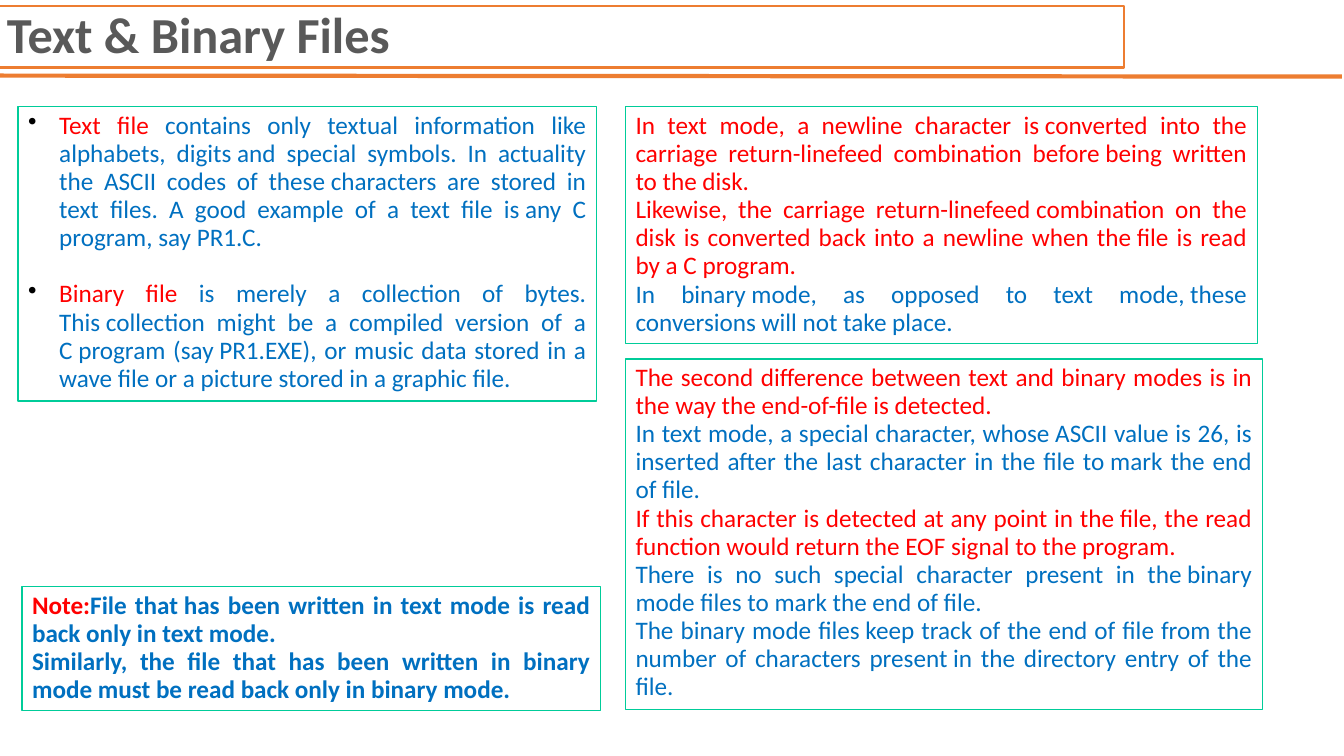
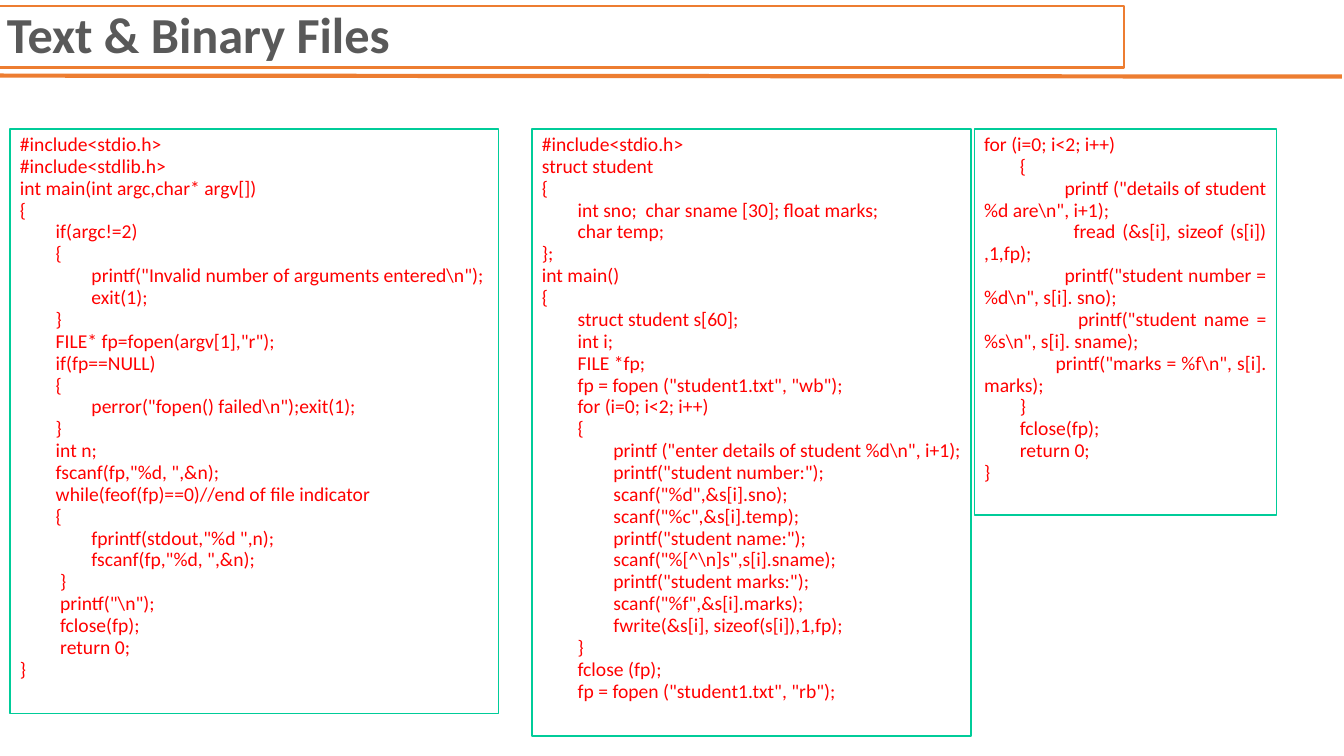
from lxml.etree import SubElement
from pptx import Presentation
from pptx.dml.color import RGBColor
from pptx.enum.shapes import MSO_CONNECTOR as CONN, MSO_SHAPE as SHAPE
from pptx.enum.text import MSO_ANCHOR as ANCHOR, PP_ALIGN as ALIGN
from pptx.oxml.ns import qn
from pptx.util import Inches, Pt

W, H = Inches(13.34), Inches(7.5)
COLORS = {"accent": "ED7D31", "title": "595959", "frame": "00CC99", "paper": "FFFFFF",
          "red": "FF0000", "blue": "0070C0", "bullet": "000000"}
FONT = "Calibri"
LINE_SPACING = 0.93
BULLET_INDENT = Inches(0.31)
CODE_STEP = Inches(0.355) / 8  # indent for one leading space in a listing
TITLE = "Text & Binary Files"
PROSE_TOP, CODE_TOP = 14.13, 17.07

# In the prose, "~" stands for a space that does not break.
FILE_KINDS = [
    [("Text file", "red"),
     (" contains only textual information like alphabets, digits~and special symbols. "
      "In actuality the ASCII codes of these~characters are stored in text files. "
      "A good example of a text file is~any C program, say PR1.C.", "blue")],
    [("Binary file", "red"),
     (" is merely a collection of bytes. This~collection might be a compiled version of "
      "a C~program (say~PR1.EXE), or music data stored in a wave~file~or a picture "
      "stored~in a graphic file.", "blue")],
]
NEWLINES = [
    [("In text mode, a newline character is~converted into the carriage return-linefeed "
      "combination before~being written to the disk.", "red")],
    [("Likewise, the carriage return-linefeed~combination on the disk is converted back "
      "into a newline when the~file is read by a C program.", "red")],
    [("In binary~mode, as opposed to text mode,~these conversions will not take~place.",
      "blue")],
]
END_OF_FILE = [
    [("The second difference between text and binary modes is in the way the end-of-file "
      "is detected.", "red")],
    [("In text mode, a special character, whose~ASCII value is 26, is inserted after the "
      "last character in the file to~mark the end of file.", "blue")],
    [("If this character is detected at any point in the~file, the read function would "
      "return the EOF signal to the program.", "red")],
    [("There is no such special character present in the~binary mode files to mark the "
      "end of file.", "blue")],
    [("The binary mode files~keep track of the end of file from the number of characters "
      "present~in the directory entry of the file.", "blue")],
]
NOTE = [
    [("Note:", "red"),
     ("File that~has been written in text mode is read back only in text mode.", "blue")],
    [("Similarly, the file that has been written in binary mode must be~read back only in "
      "binary mode.", "blue")],
]

# Leading spaces become first-line indents, eight to a level.
READ_NUMBERS = r"""
#include<stdio.h>
#include<stdlib.h>
int main(int argc,char* argv[])
{
        if(argc!=2)
        {
                printf("Invalid number of arguments entered\n");
                exit(1);
        }
        FILE* fp=fopen(argv[1],"r");
        if(fp==NULL)
        {
                perror("fopen() failed\n");exit(1);
        }
        int n;
        fscanf(fp,"%d, ",&n);
        while(feof(fp)==0)//end of file indicator
        {
                fprintf(stdout,"%d ",n);
                fscanf(fp,"%d, ",&n);
         }
         printf("\n");
         fclose(fp);
         return 0;
}
"""
WRITE_STUDENTS = r"""
#include<stdio.h>
struct student
{
        int sno;  char sname [30]; float marks;
        char temp;
};
int main()
{
        struct student s[60];
        int i;
        FILE *fp;
        fp = fopen ("student1.txt", "wb");
        for (i=0; i<2; i++)
        {
                printf ("enter details of student %d\n", i+1);
                printf("student number:");
                scanf("%d",&s[i].sno);
                scanf("%c",&s[i].temp);
                printf("student name:");
                scanf("%[^\n]s",s[i].sname);
                printf("student marks:");
                scanf("%f",&s[i].marks);
                fwrite(&s[i], sizeof(s[i]),1,fp);
        }
        fclose (fp);
        fp = fopen ("student1.txt", "rb");
"""
READ_STUDENTS = r"""
for (i=0; i<2; i++)
        {
                  printf ("details of student %d are\n", i+1);
                    fread (&s[i], sizeof (s[i]) ,1,fp);
                  printf("student number = %d\n", s[i]. sno);
                     printf("student name = %s\n", s[i]. sname);
                printf("marks = %f\n", s[i]. marks);
        }
        fclose(fp);
        return 0;
}
"""


def rgb(name):
    """Return a palette colour."""
    return RGBColor.from_string(COLORS[name])


def across(share):
    """Turn a percentage of the slide width into a length."""
    return round(W * share / 100)


def down(share):
    """Turn a percentage of the slide height into a length."""
    return round(H * share / 100)


def add_frame(s, x, y, w, h, line, width, fill=None):
    """Add an outlined rectangle, placed in percent of the slide; return its text frame."""
    sp = s.shapes.add_shape(SHAPE.RECTANGLE, across(x), down(y), across(w), down(h))
    sp.shadow.inherit = False
    sp.line.color.rgb = rgb(line)
    sp.line.width = Pt(width)
    if fill:
        sp.fill.solid()
        sp.fill.fore_color.rgb = rgb(fill)
    else:
        sp.fill.background()
    tf = sp.text_frame
    tf.word_wrap = True
    tf.vertical_anchor = ANCHOR.TOP
    return tf


def add_paragraph(tf, first, align=ALIGN.JUSTIFY):
    """Return the next paragraph of a text frame, spaced and aligned."""
    p = tf.paragraphs[0] if first else tf.add_paragraph()
    p.alignment = align
    p.line_spacing = LINE_SPACING
    return p


def add_run(p, text, color, size, bold=False):
    """Append one run of text."""
    r = p.add_run()
    r.text = text
    r.font.name = FONT
    r.font.size = Pt(size)
    r.font.bold = bold
    r.font.color.rgb = rgb(color)


def set_bullet(p):
    """Give a paragraph a hanging bullet."""
    pPr = p._p.get_or_add_pPr()
    pPr.set("marL", str(BULLET_INDENT))
    pPr.set("indent", str(-BULLET_INDENT))
    clr = SubElement(pPr, qn("a:buClr"))
    SubElement(clr, qn("a:srgbClr")).set("val", COLORS["bullet"])
    SubElement(pPr, qn("a:buChar")).set("char", "•")


def add_prose(s, x, y, w, h, paragraphs, bullets=False, bold=False):
    """Add a framed box of two-coloured paragraphs."""
    tf = add_frame(s, x, y, w, h, "frame", 1, "paper")
    for i, runs in enumerate(paragraphs):
        p = add_paragraph(tf, i == 0)
        if bullets:
            p.space_after = Pt(20 if i < len(paragraphs) - 1 else 0)
            set_bullet(p)
        for text, color in runs:
            add_run(p, text.replace("~", "\u00a0"), color, 18, bold)


def add_code(s, x, w, h, listing):
    """Add a framed code listing, one paragraph to a line."""
    tf = add_frame(s, x, CODE_TOP, w, h, "frame", 1, "paper")
    for i, line in enumerate(listing.strip("\n").split("\n")):
        code = line.lstrip()
        p = add_paragraph(tf, i == 0)
        indent = round((len(line) - len(code)) * CODE_STEP)
        p._p.get_or_add_pPr().set("indent", str(indent))
        add_run(p, code, "red", 14)


def add_rule(s):
    """Draw the rule under the title."""
    c = s.shapes.add_connector(CONN.STRAIGHT, across(-0.07), down(10),
                               across(99.85), down(10.13))
    c.line.color.rgb = rgb("accent")
    c.line.width = Pt(3)
    SubElement(c._element.spPr, qn("a:effectLst"))


def add_slide(prs):
    """Add a blank slide with the shared title and rule."""
    s = prs.slides.add_slide(prs.slide_layouts[6])
    add_rule(s)
    tf = add_frame(s, -0.22, 0.8, 83.88, 8.13, "accent", 1.5)
    tf.vertical_anchor = ANCHOR.MIDDLE
    add_run(add_paragraph(tf, True, ALIGN.LEFT), TITLE, "title", 36, True)
    return s


def main():
    """Build and save both slides."""
    prs = Presentation()
    prs.slide_width, prs.slide_height = W, H

    s = add_slide(prs)
    add_prose(s, 1.35, PROSE_TOP, 43.03, 38.93, FILE_KINDS, bullets=True)
    add_prose(s, 46.55, PROSE_TOP, 47, 31.33, NEWLINES)
    add_prose(s, 46.55, 47.47, 47.38, 46.4, END_OF_FILE)
    add_prose(s, 1.65, 77.6, 43.03, 16.4, NOTE, bold=True)

    s = add_slide(prs)
    add_code(s, 0.75, 36.36, 77.33, READ_NUMBERS)
    add_code(s, 39.58, 32.68, 80.27, WRITE_STUDENTS)
    add_code(s, 72.49, 22.49, 51.07, READ_STUDENTS)

    prs.save("out.pptx")


main()
